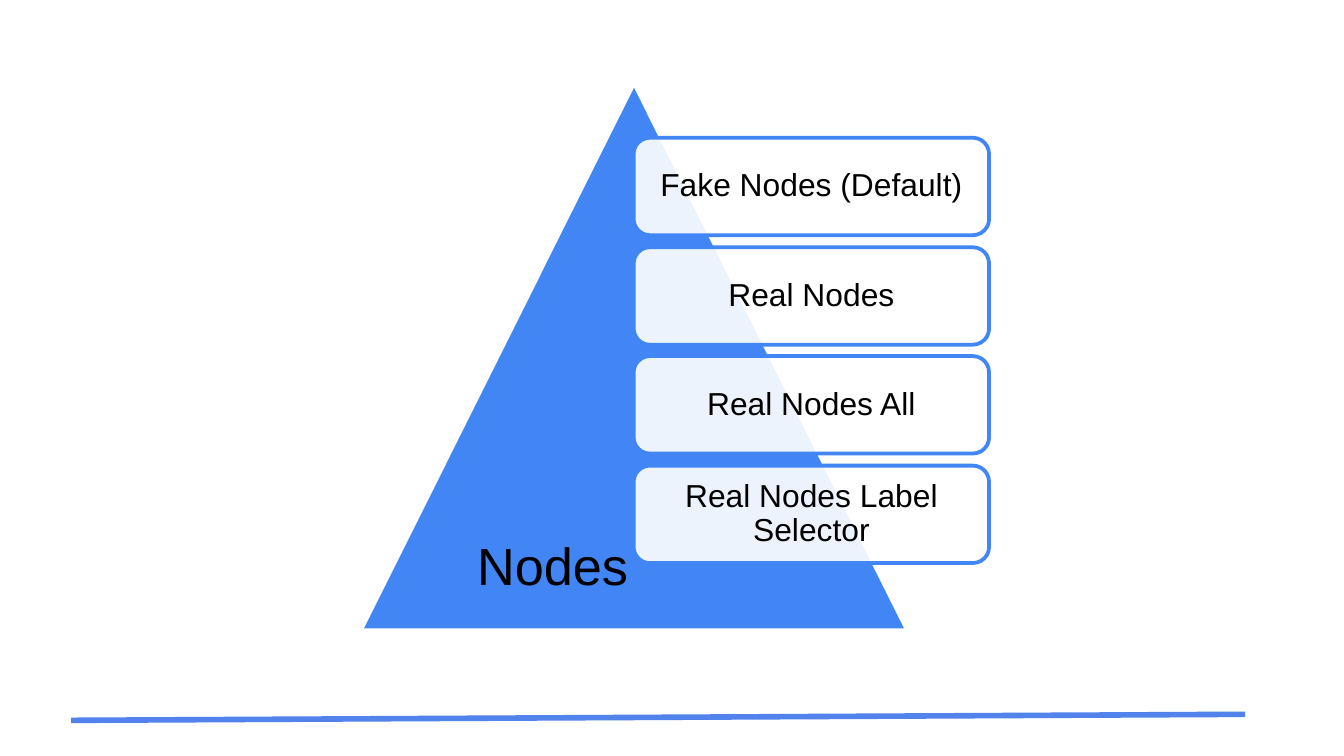
from dataclasses import dataclass

import pptx
import pptx.dml.color
import pptx.enum.shapes
import pptx.enum.text
import pptx.oxml
import pptx.oxml.ns
import pptx.util
from pptx.shapes.autoshape import Shape
from pptx.shapes.shapetree import GroupShapes
from pptx.slide import Slide

EMU_PER_PX = 4572  # 200 px to the inch
FONT = "Arial"
BLUE, RULE_BLUE, WHITE, BLACK = "4285F4", "5282EB", "FFFFFF", "000000"
SHAPES = pptx.enum.shapes.MSO_SHAPE
ALIGN = pptx.enum.text.PP_ALIGN
ANCHOR = pptx.enum.text.MSO_ANCHOR

CARD_TOP, CARD_PITCH = 205, 162.67
CARD_LABELS = (
    "Fake Nodes (Default)",
    "Real Nodes",
    "Real Nodes All",
    "Real Nodes Label Selector",
)


@dataclass(frozen=True)
class Box:
    left: int
    top: int
    width: int
    height: int

    def emu(self) -> tuple[int, int, int, int]:
        return px(self.left), px(self.top), px(self.width), px(self.height)

    def inset(self, margin: int) -> "Box":
        return Box(self.left + margin, self.top + margin,
                   self.width - 2 * margin, self.height - 2 * margin)


@dataclass(frozen=True)
class Card:
    box: Box
    label: str


def px(length: int) -> int:
    return pptx.util.Emu(length * EMU_PER_PX)


def color(hex_string: str) -> pptx.dml.color.RGBColor:
    return pptx.dml.color.RGBColor.from_string(hex_string)


def set_text(shape: Shape, text: str, size: int, alignment: ALIGN,
             anchor: ANCHOR, margins: tuple[int, int]) -> None:
    """Fill a shape with one paragraph; margins are horizontal, vertical."""
    frame = shape.text_frame
    frame.text = text
    frame.word_wrap = True
    frame.auto_size = pptx.enum.text.MSO_AUTO_SIZE.NONE
    frame.vertical_anchor = anchor
    frame.margin_left = frame.margin_right = px(margins[0])
    frame.margin_top = frame.margin_bottom = px(margins[1])
    paragraph = frame.paragraphs[0]
    paragraph.alignment = alignment
    font = paragraph.runs[0].font
    font.name = FONT
    font.size = pptx.util.Pt(size)
    font.color.rgb = color(BLACK)


def add_shape(shapes: GroupShapes, preset: SHAPES, box: Box,
              fill: str, line: str) -> Shape:
    shape = shapes.add_shape(preset, *box.emu())
    shape.shadow.inherit = False
    shape.fill.solid()
    shape.fill.fore_color.rgb = color(fill)
    shape.line.color.rgb = color(line)
    shape.line.width = pptx.util.Pt(2)
    return shape


def set_opacity(shape: Shape, percent: int) -> None:
    fill_color = shape._element.spPr.find(
        "/".join(map(pptx.oxml.ns.qn, ("a:solidFill", "a:srgbClr"))))
    alpha = pptx.oxml.parse_xml(
        f'<a:alpha {pptx.oxml.ns.nsdecls("a")} val="{percent * 1000}"/>')
    fill_color.append(alpha)


def add_card(shapes: GroupShapes, card: Card) -> None:
    panel = add_shape(shapes, SHAPES.ROUNDED_RECTANGLE, card.box, WHITE, BLUE)
    set_opacity(panel, 90)
    label = shapes.add_textbox(*card.box.inset(7).emu())
    set_text(label, card.label, 17, ALIGN.CENTER, ANCHOR.MIDDLE, (14, 14))
    label.text_frame.paragraphs[0].line_spacing = 0.9


def add_footer_rule(slide: Slide) -> None:
    rule = slide.shapes.add_connector(
        pptx.enum.shapes.MSO_CONNECTOR.STRAIGHT,
        px(106), px(1072), px(1853), px(1063))
    rule.line.color.rgb = color(RULE_BLUE)
    rule.line.width = pptx.util.Pt(3)
    rule._element.spPr.append(
        pptx.oxml.parse_xml(f'<a:effectLst {pptx.oxml.ns.nsdecls("a")}/>'))


def add_pyramid(slide: Slide) -> None:
    shapes = slide.shapes.add_group_shape().shapes
    add_shape(shapes, SHAPES.ISOSCELES_TRIANGLE, Box(537, 124, 813, 814),
              BLUE, WHITE)
    for index, label in enumerate(CARD_LABELS):
        top = round(CARD_TOP + index * CARD_PITCH)
        add_card(shapes, Card(Box(943, top, 529, 145), label))


def place_title(slide: Slide) -> None:
    """Format the title and bring it in front of the pyramid."""
    title = slide.shapes.title
    title.left, title.top, title.width, title.height = Box(
        694, 786, 1370, 178).emu()
    set_text(title, "Nodes", 28, ALIGN.LEFT, ANCHOR.TOP, (16, 8))
    slide.shapes._spTree.append(title._element)


def main() -> None:
    presentation = pptx.Presentation()
    presentation.slide_width = px(2000)
    presentation.slide_height = px(1125)
    slide = presentation.slides.add_slide(presentation.slide_layouts[5])
    add_footer_rule(slide)
    add_pyramid(slide)
    place_title(slide)
    presentation.save("out.pptx")


if __name__ == "__main__":
    main()
